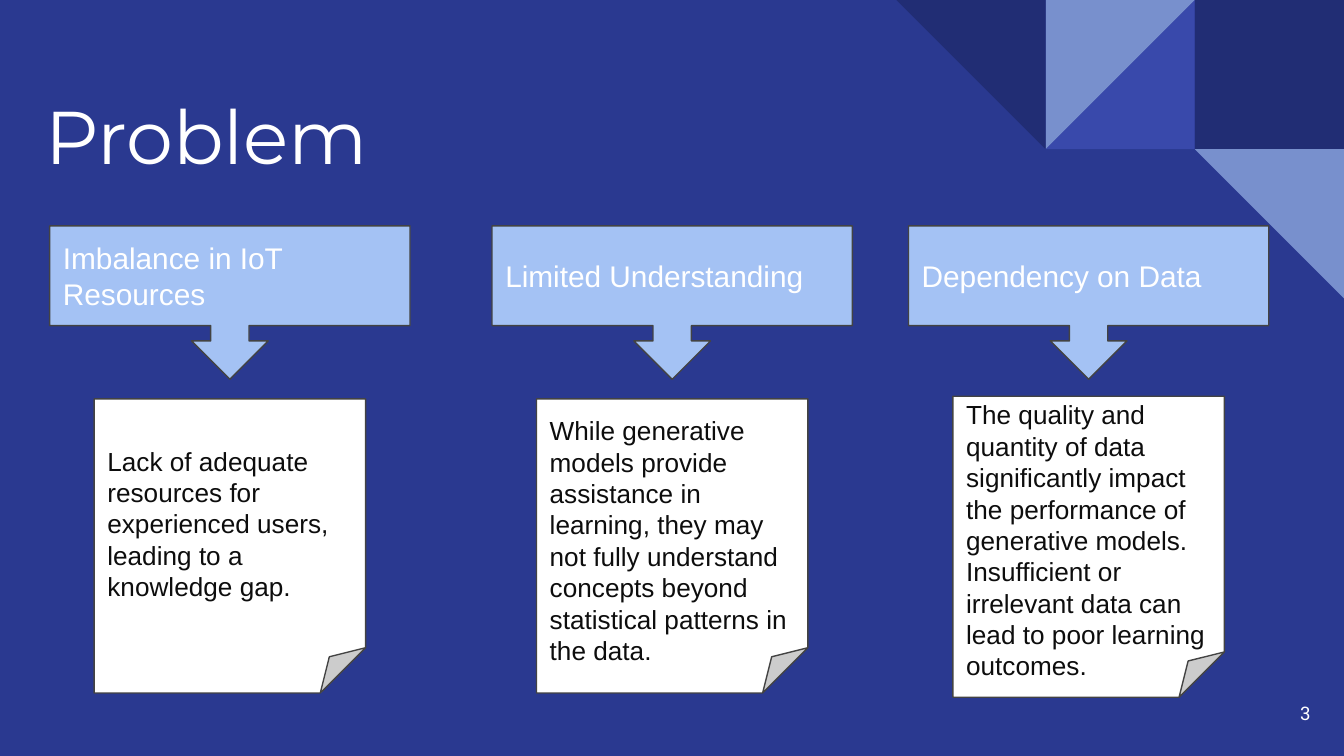
from pptx import Presentation
from pptx.dml.color import RGBColor
from pptx.enum.shapes import MSO_SHAPE
from pptx.enum.text import MSO_ANCHOR, MSO_AUTO_SIZE, PP_ALIGN
from pptx.util import Cm, Pt

MARGIN = 0.25
TILE = 2.82
CALLOUT_WIDTH, NOTE_WIDTH = 6.81, 5.13


def rgb(value):
    return RGBColor.from_string(value)


class ProblemSlide:
    NAVY, MID_BLUE, PALE_BLUE = "212D74", "3949AB", "7890CD"
    BACKGROUND, CALLOUT, OUTLINE = "2A3990", "A4C2F4", "434343"
    WHITE, INK = "FFFFFF", "0D0D0D"

    def __init__(self, presentation):
        self.slide = presentation.slides.add_slide(presentation.slide_layouts[5])
        self.slide.background.fill.solid()
        self.slide.background.fill.fore_color.rgb = rgb(self.BACKGROUND)

    def set_text(self, frame, text, size, color, font="Arial", align=PP_ALIGN.LEFT,
                 anchor=MSO_ANCHOR.MIDDLE, top_inset=MARGIN):
        frame.word_wrap = True
        frame.auto_size = MSO_AUTO_SIZE.NONE
        frame.vertical_anchor = anchor
        frame.margin_left = frame.margin_right = frame.margin_bottom = Cm(MARGIN)
        frame.margin_top = Cm(top_inset)
        frame.text = text
        paragraph = frame.paragraphs[0]
        paragraph.alignment = align
        paragraph.font.name = font
        paragraph.font.size = Pt(size)
        paragraph.font.color.rgb = rgb(color)

    def shape(self, kind, left, top, width, height, fill, outline=None):
        shape = self.slide.shapes.add_shape(
            kind, Cm(left), Cm(top), Cm(width), Cm(height))
        shape.shadow.inherit = False
        shape.fill.solid()
        shape.fill.fore_color.rgb = rgb(fill)
        if outline:
            shape.line.color.rgb = rgb(outline)
            shape.line.width = Pt(0.75)
        else:
            shape.line.fill.background()
        return shape

    def tile(self, kind, column, row, fill, rotation=0):
        """Place a corner tile, counting columns from the right edge."""
        tile = self.shape(kind, 25.4 - column * TILE, row * TILE, TILE, TILE, fill)
        tile.rotation = rotation

    def title(self, text):
        title = self.slide.shapes.title
        title.left, title.top = Cm(0.61), Cm(1.3)
        title.width, title.height = Cm(22.83), Cm(2.34)
        self.set_text(title.text_frame, text, 40, self.WHITE, "Montserrat",
                      anchor=MSO_ANCHOR.BOTTOM)

    def callout(self, left, text):
        callout = self.shape(MSO_SHAPE.DOWN_ARROW_CALLOUT, left, 4.27,
                             CALLOUT_WIDTH, 2.9, self.CALLOUT, self.OUTLINE)
        callout.adjustments[3] = 0.65
        self.set_text(callout.text_frame, text, 16, self.WHITE)

    def note(self, left, top, height, text, **placement):
        note = self.shape(MSO_SHAPE.FOLDED_CORNER, left, top, NOTE_WIDTH, height,
                          self.WHITE, self.OUTLINE)
        self.set_text(note.text_frame, text, 14, self.INK, **placement)

    def page_number(self, text):
        number = self.slide.shapes.add_textbox(
            Cm(23.5), Cm(12.93), Cm(1.52), Cm(1.09))
        self.set_text(number.text_frame, text, 10, self.WHITE, "Roboto",
                      PP_ALIGN.RIGHT)


def main():
    presentation = Presentation()
    presentation.slide_width, presentation.slide_height = Cm(25.4), Cm(14.29)
    page = ProblemSlide(presentation)

    triangle = MSO_SHAPE.RIGHT_TRIANGLE
    page.tile(MSO_SHAPE.RECTANGLE, 1, 0, page.NAVY)
    page.tile(triangle, 2, 0, page.MID_BLUE, 270)
    page.tile(triangle, 2, 0, page.PALE_BLUE, 90)
    page.tile(triangle, 3, 0, page.NAVY, 180)
    page.tile(triangle, 1, 1, page.PALE_BLUE, 180)
    page.title("Problem")

    top_anchored = {"anchor": MSO_ANCHOR.TOP}
    problems = [
        (0.94, "Imbalance in IoT Resources", 7.54, 5.56,
         "Lack of adequate resources for experienced users, leading to a "
         "knowledge gap.", {}),
        (9.3, "Limited Understanding", 7.54, 5.56,
         "While generative models provide assistance in learning, they may not "
         "fully understand concepts beyond statistical patterns in the data.",
         {**top_anchored, "top_inset": 0.3}),
        (17.17, "Dependency on Data", 7.49, 5.69,
         "The quality and quantity of data significantly impact the performance "
         "of generative models. Insufficient or irrelevant data can lead to poor "
         "learning outcomes.", {**top_anchored, "top_inset": 0.05}),
    ]
    for left, heading, note_top, note_height, detail, placement in problems:
        page.callout(left, heading)
        page.note(left + (CALLOUT_WIDTH - NOTE_WIDTH) / 2, note_top, note_height,
                  detail, **placement)

    page.page_number("3")
    presentation.save("out.pptx")


if __name__ == "__main__":
    main()
